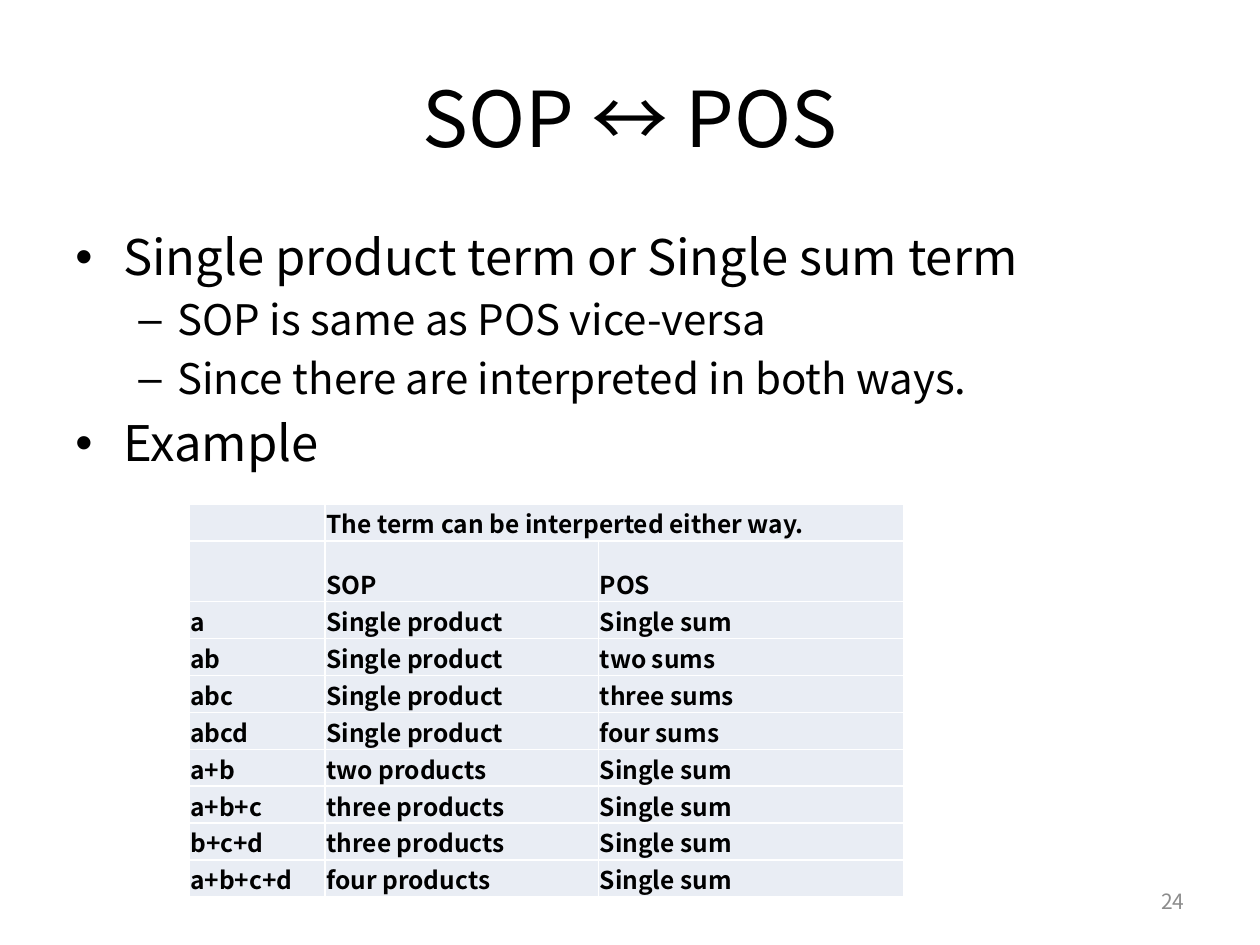
from pptx import Presentation
from pptx.dml.color import RGBColor
from pptx.enum.text import MSO_ANCHOR as Anchor, PP_ALIGN as Align
from pptx.oxml.ns import qn
from pptx.util import Inches, Pt
from lxml.etree import SubElement

# Content
TITLE = "SOP ↔ POS"
PAGE_NUMBER = "24"
POINTS = [  # (level, text)
    (0, "Single product term or Single sum term"),
    (1, "SOP is same as POS vice-versa"),
    (1, "Since there are interpreted in both ways."),
    (0, "Example"),
]
TERMS = [
    ("", "The term can be interperted either way.", ""),
    ("", "SOP", "POS"),
    ("a", "Single product", "Single sum"),
    ("ab", "Single product", "two sums"),
    ("abc", "Single product", "three sums"),
    ("abcd", "Single product", "four sums"),
    ("a+b", "two products", "Single sum"),
    ("a+b+c", "three products", "Single sum"),
    ("b+c+d", "three products", "Single sum"),
    ("a+b+c+d", "four products", "Single sum"),
]

# Look
THEME = {
    "font": "Noto Sans CJK KR",
    "ink": "000000", "muted": "8C8C8C", "cell": "E9EDF4", "border": "FFFFFF",
    "title": 44, "table": 14, "number": 12,
}
LEVELS = [
    {"bullet": "•", "size": 28, "indent": 0.38, "hang": 0.38},
    {"bullet": "–", "size": 24, "indent": 0.81, "hang": 0.31},
]
SPACE_BEFORE = 0.2  # share of the type size
COLUMN_WIDTHS = [1.08, 2.17, 2.42]
TABLE_HEIGHT, SUBHEAD_HEIGHT = 3.12, 0.48
CELL_FORMAT = {
    "margin_left": Inches(0.01), "margin_right": Inches(0.01),
    "margin_top": Inches(0.01), "margin_bottom": 0,
    "vertical_anchor": Anchor.BOTTOM,
}


def write(paragraph, text, size, color="ink", bold=False):
    run = paragraph.add_run()
    run.text = text
    run.font.color.rgb = RGBColor.from_string(THEME[color])
    for key, value in {"name": THEME["font"], "size": Pt(size), "bold": bold}.items():
        setattr(run.font, key, value)


def add_bullet(paragraph, level):
    props = paragraph._p.get_or_add_pPr()
    props.set("marL", str(Inches(level["indent"])))
    props.set("indent", str(-Inches(level["hang"])))
    SubElement(props, qn("a:buFont"), typeface="Arial")
    SubElement(props, qn("a:buChar"), char=level["bullet"])


def add_borders(cell):
    props = cell._tc.get_or_add_tcPr()
    for side in ("a:lnL", "a:lnR", "a:lnT", "a:lnB"):
        line = SubElement(props, qn(side), w=str(Pt(1)))
        fill = SubElement(line, qn("a:solidFill"))
        SubElement(fill, qn("a:srgbClr"), val=THEME["border"])


def place(left, top, width, height):
    return [Inches(length) for length in (left, top, width, height)]


prs = Presentation()
prs.slide_width, prs.slide_height = Inches(10), Inches(7.5)
slide = prs.slides.add_slide(prs.slide_layouts[5])

# Title
title = slide.shapes.title
title.left, title.top, title.width, title.height = place(0.5, 0.3, 9, 1.25)
title.text_frame.vertical_anchor = Anchor.MIDDLE
heading = title.text_frame.paragraphs[0]
heading.alignment = Align.CENTER
write(heading, TITLE, THEME["title"])

# Bullet points
body = slide.shapes.add_textbox(*place(0.5, 1.75, 9, 4.95)).text_frame
body.word_wrap = True
for index, (depth, text) in enumerate(POINTS):
    point = body.add_paragraph() if index else body.paragraphs[0]
    level = LEVELS[depth]
    point.level = depth
    point.space_before = Pt(level["size"] * SPACE_BEFORE)
    add_bullet(point, level)
    write(point, text, level["size"])

# Page number
footer = slide.shapes.add_textbox(*place(7.17, 6.95, 2.33, 0.4)).text_frame
footer.word_wrap = True
footer.vertical_anchor = Anchor.MIDDLE
footer.paragraphs[0].alignment = Align.RIGHT
write(footer.paragraphs[0], PAGE_NUMBER, THEME["number"], "muted")

# Table of terms
row_heights = [(TABLE_HEIGHT - SUBHEAD_HEIGHT) / (len(TERMS) - 1)] * len(TERMS)
row_heights[1] = SUBHEAD_HEIGHT
terms = slide.shapes.add_table(
    len(TERMS), len(COLUMN_WIDTHS),
    *place(1.5, 4, sum(COLUMN_WIDTHS), TABLE_HEIGHT)).table
for column, width in zip(terms.columns, COLUMN_WIDTHS):
    column.width = Inches(width)
for r, (height, entries) in enumerate(zip(row_heights, TERMS)):
    terms.rows[r].height = Inches(height)
    for c, entry in enumerate(entries):
        cell = terms.cell(r, c)
        for key, value in CELL_FORMAT.items():
            setattr(cell, key, value)
        add_borders(cell)
        cell.fill.solid()
        cell.fill.fore_color.rgb = RGBColor.from_string(THEME["cell"])
        entry_line = cell.text_frame.paragraphs[0]
        if entry:
            write(entry_line, entry, THEME["table"], bold=True)
        else:  # keeps an empty cell from stretching its row
            SubElement(entry_line._p, qn("a:endParaRPr"), sz=str(THEME["table"] * 100))
terms.cell(0, 1).merge(terms.cell(0, 2))

prs.save("out.pptx")
